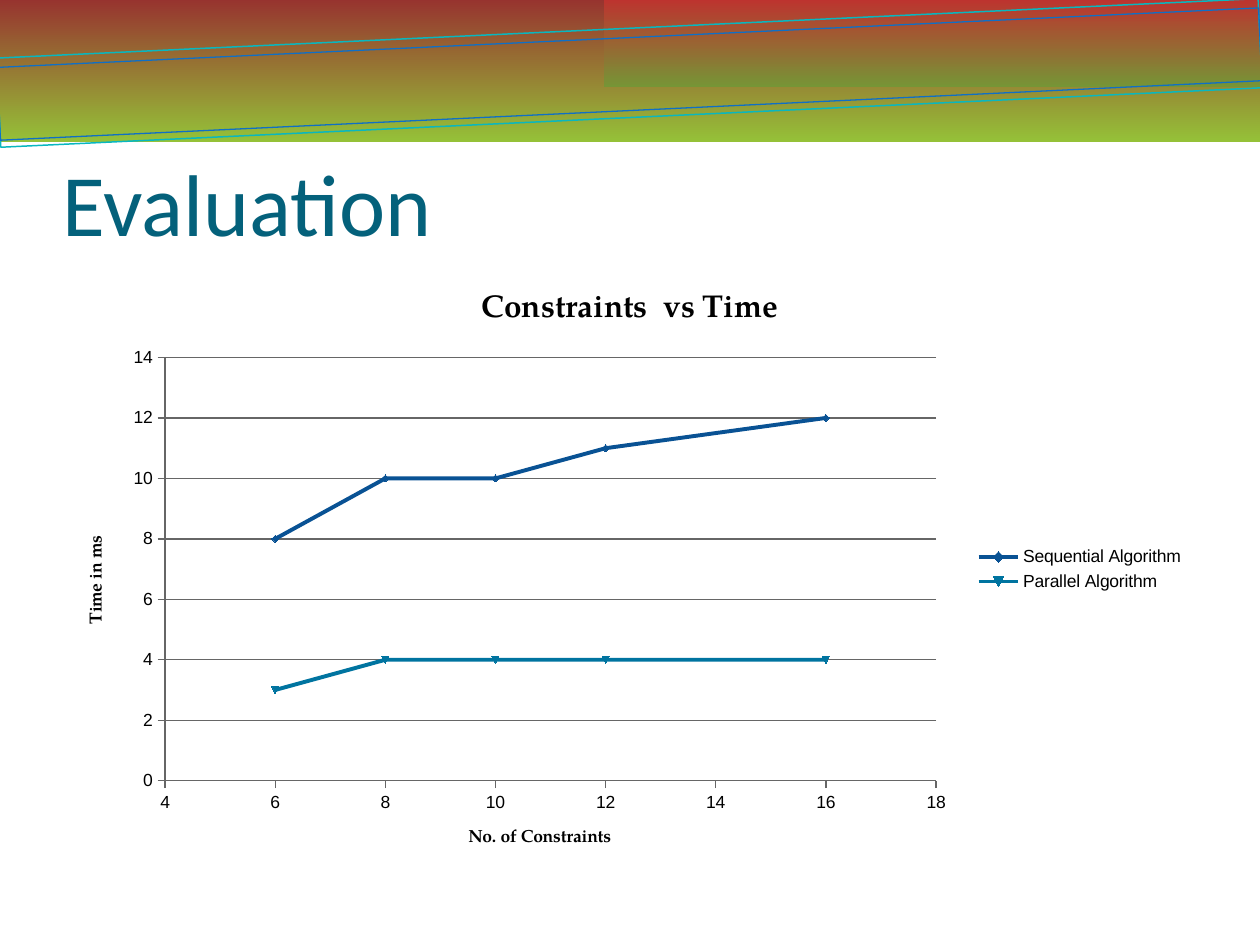
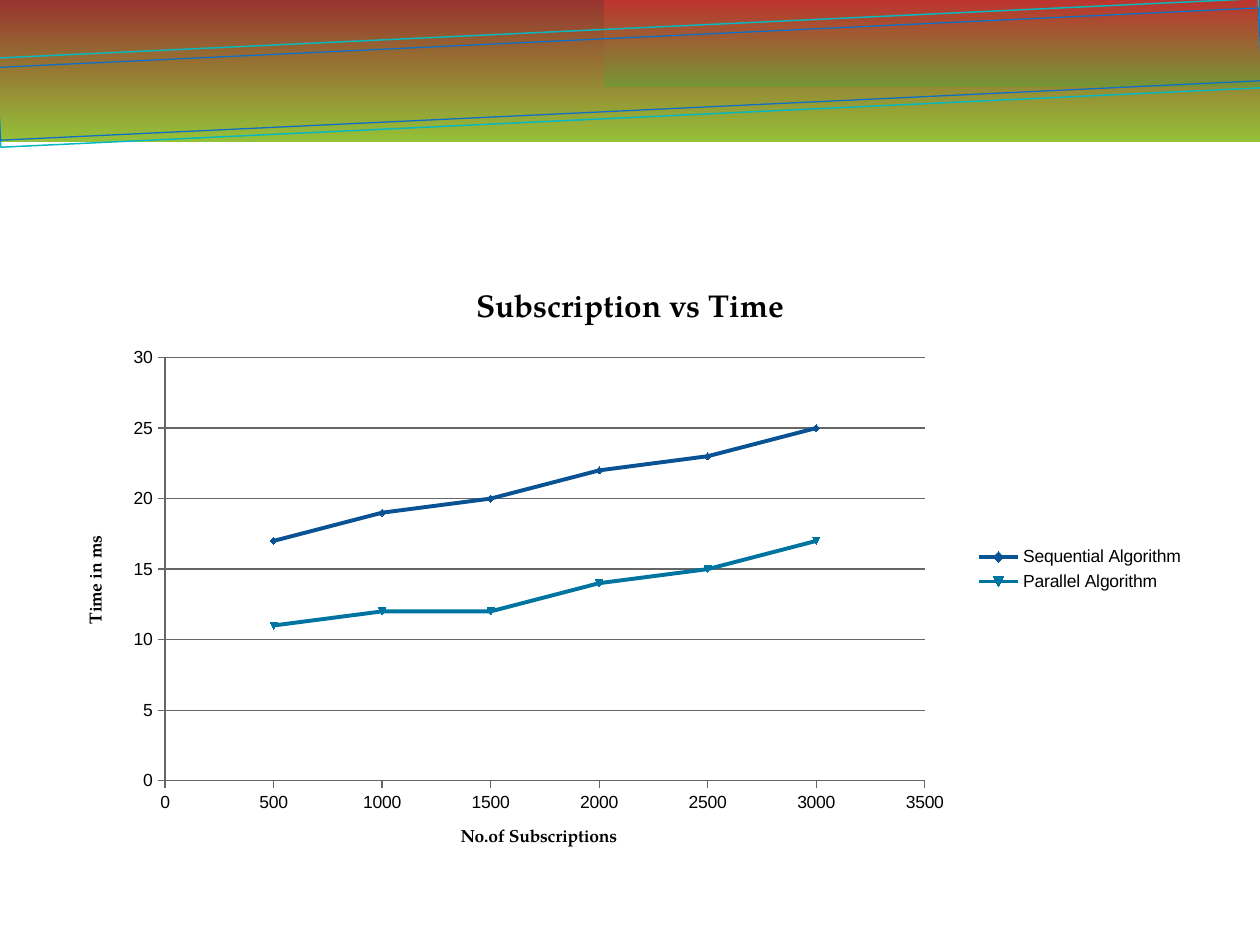
from lxml.etree import SubElement
from pptx import Presentation
from pptx.chart.data import XyChartData
from pptx.dml.color import RGBColor
from pptx.enum.chart import XL_CHART_TYPE as ChartType
from pptx.enum.chart import XL_LEGEND_POSITION as LegendPosition
from pptx.enum.chart import XL_MARKER_STYLE as MarkerStyle
from pptx.enum.chart import XL_TICK_MARK as TickMark
from pptx.enum.shapes import MSO_SHAPE as Shape
from pptx.enum.text import MSO_ANCHOR as Anchor
from pptx.oxml.ns import qn
from pptx.util import Cm, Pt

COLORS = {
    "title": "04617B",
    "text": "000000",
    "plot": "FFFFFF",
    "axis": "666666",
    "band_top": "97332F",
    "band_bottom": "95C138",
    "corner_top": "BD332F",
    "corner_bottom": "769536",
    "frame_outer": "09B7BF",
    "frame_inner": "0F6FC6",
    "Sequential Algorithm": "095294",
    "Parallel Algorithm": "0074A0",
}
TITLE_FONT, LABEL_FONT, CHART_TITLE_FONT = "Calibri", "Arial", "TeX Gyre Pagella"
TITLE_BOX = (1.27, 1.96, 22.86, 3.17)
CHART_BOX = (1.27, 5.38, 22.86, 12.19)
BANDS = [
    ((-0.02, -0.02, 25.44, 2.89), "band_top", "band_bottom"),
    ((12.17, -0.02, 13.23, 1.78), "corner_top", "corner_bottom"),
]
FRAMES = [
    ((-0.04, 0.57, 25.46, 1.8), "frame_outer", 0.85),
    ((-0.04, 0.76, 25.46, 1.47), "frame_inner", 0.75),
]
FRAME_ROTATION = 357.3


def color(name):
    """Return the named palette colour."""
    return RGBColor.from_string(COLORS[name])


def lengths(box):
    """Convert a box in centimetres to lengths."""
    return [Cm(value) for value in box]


def write_text(text_frame, text, font=CHART_TITLE_FONT, size=10, bold=True, fill="text"):
    """Write one formatted run into a text frame."""
    run = text_frame.paragraphs[0].add_run()
    run.text = text
    run.font.name = font
    run.font.size = Pt(size)
    run.font.bold = bold
    run.font.color.rgb = color(fill)


def style_line(line, name, width):
    """Give a line its colour and width."""
    line.color.rgb = color(name)
    line.width = Pt(width)


def add_header(slide):
    """Draw the gradient bands and the two tilted frames."""
    for box, *stop_names in BANDS:
        band = slide.shapes.add_shape(Shape.RECTANGLE, *lengths(box))
        band.shadow.inherit = False
        band.line.fill.background()
        band.fill.gradient()
        band.fill.gradient_angle = 270
        for stop, name in zip(band.fill.gradient_stops, stop_names):
            stop.color.rgb = color(name)
    for box, name, width in FRAMES:
        frame = slide.shapes.add_shape(Shape.RECTANGLE, *lengths(box))
        frame.shadow.inherit = False
        frame.fill.background()
        style_line(frame.line, name, width)
        frame.rotation = FRAME_ROTATION


def add_title(slide, box, text):
    """Place the slide title at the bottom of its box."""
    text_frame = slide.shapes.add_textbox(*lengths(box)).text_frame
    text_frame.word_wrap = True
    text_frame.vertical_anchor = Anchor.BOTTOM
    text_frame.margin_left = text_frame.margin_right = text_frame.margin_bottom = 0
    write_text(text_frame, text, font=TITLE_FONT, size=50, bold=False, fill="title")


def style_axis(axis, title, scale):
    """Set the title, scale and line of an axis."""
    write_text(axis.axis_title.text_frame, title)
    axis.minimum_scale, axis.maximum_scale, axis.major_unit = scale
    axis.major_tick_mark = TickMark.OUTSIDE
    axis.minor_tick_mark = TickMark.NONE
    style_line(axis.format.line, "axis", 0.75)


def style_plot_area(chart, fractions):
    """Fix the inner plot area and fill it."""
    plot_area = chart.element.find(".//" + qn("c:plotArea"))
    layout = plot_area.find(qn("c:layout"))
    if layout is None:
        layout = SubElement(plot_area, qn("c:layout"))
        plot_area.insert(0, layout)
    manual = SubElement(layout, qn("c:manualLayout"))
    settings = [("layoutTarget", "inner"), ("xMode", "edge"), ("yMode", "edge")]
    for tag, value in settings + list(zip("xywh", fractions)):
        SubElement(manual, qn("c:" + tag)).set("val", str(value))
    properties = SubElement(plot_area, qn("c:spPr"))
    fill = SubElement(properties, qn("a:solidFill"))
    SubElement(fill, qn("a:srgbClr")).set("val", COLORS["plot"])


def add_scatter(slide, box, title, x_title, x_values, series, x_scale, y_scale, plot_width):
    """Add a smooth scatter chart that compares the algorithms."""
    data = XyChartData()
    for name, y_values in series.items():
        points = data.add_series(name)
        for x, y in zip(x_values, y_values):
            points.add_data_point(x, y)
    chart = slide.shapes.add_chart(ChartType.XY_SCATTER_SMOOTH, *lengths(box), data).chart
    chart.font.name = LABEL_FONT
    chart.font.size = Pt(10)
    chart.font.color.rgb = color("text")
    write_text(chart.chart_title.text_frame, title, size=18)
    chart.has_legend = True
    chart.legend.position = LegendPosition.RIGHT
    chart.legend.include_in_layout = False
    style_axis(chart.category_axis, x_title, x_scale)
    style_axis(chart.value_axis, "Time in ms", y_scale)
    chart.category_axis.has_major_gridlines = False
    chart.value_axis.has_major_gridlines = True
    style_line(chart.value_axis.major_gridlines.format.line, "axis", 0.75)
    chart.plots[0].vary_by_categories = False
    for curve in chart.plots[0].series:
        curve.smooth = True
        style_line(curve.format.line, curve.name, 2.25)
        curve.marker.style = MarkerStyle.AUTOMATIC
        curve.marker.size = 4
    style_plot_area(chart, (0.09, 0.15, plot_width, 0.7))


def add_slide(presentation, title=None, **chart_details):
    """Add a slide with the header, an optional title and a chart."""
    slide = presentation.slides.add_slide(presentation.slide_layouts[6])
    add_header(slide)
    if title:
        add_title(slide, TITLE_BOX, title)
    add_scatter(slide, CHART_BOX, **chart_details)


def add_chart_slide(presentation, heading, chart_title, **details):
    """Add one evaluation slide."""
    slide = presentation.slides.add_slide(presentation.slide_layouts[6])
    add_header(slide)
    if heading:
        add_title(slide, TITLE_BOX, heading)
    add_scatter(slide, CHART_BOX, chart_title, **details)


def main():
    """Build and save the presentation."""
    presentation = Presentation()
    presentation.slide_width, presentation.slide_height = Cm(25.4), Cm(19.05)
    add_chart_slide(
        presentation, "Evaluation", "Constraints  vs Time",
        x_title="No. of Constraints",
        x_values=[6, 8, 10, 12, 16],
        series={
            "Sequential Algorithm": [8, 10, 10, 11, 12],
            "Parallel Algorithm": [3, 4, 4, 4, 4],
        },
        x_scale=(4, 18, 2), y_scale=(0, 14, 2), plot_width=0.68,
    )
    add_chart_slide(
        presentation, None, "Subscription vs Time",
        x_title="No.of Subscriptions",
        x_values=range(500, 3001, 500),
        series={
            "Sequential Algorithm": [17, 19, 20, 22, 23, 25],
            "Parallel Algorithm": [11, 12, 12, 14, 15, 17],
        },
        x_scale=(0, 3500, 500), y_scale=(0, 30, 5), plot_width=0.67,
    )
    presentation.save("out.pptx")


if __name__ == "__main__":
    main()
